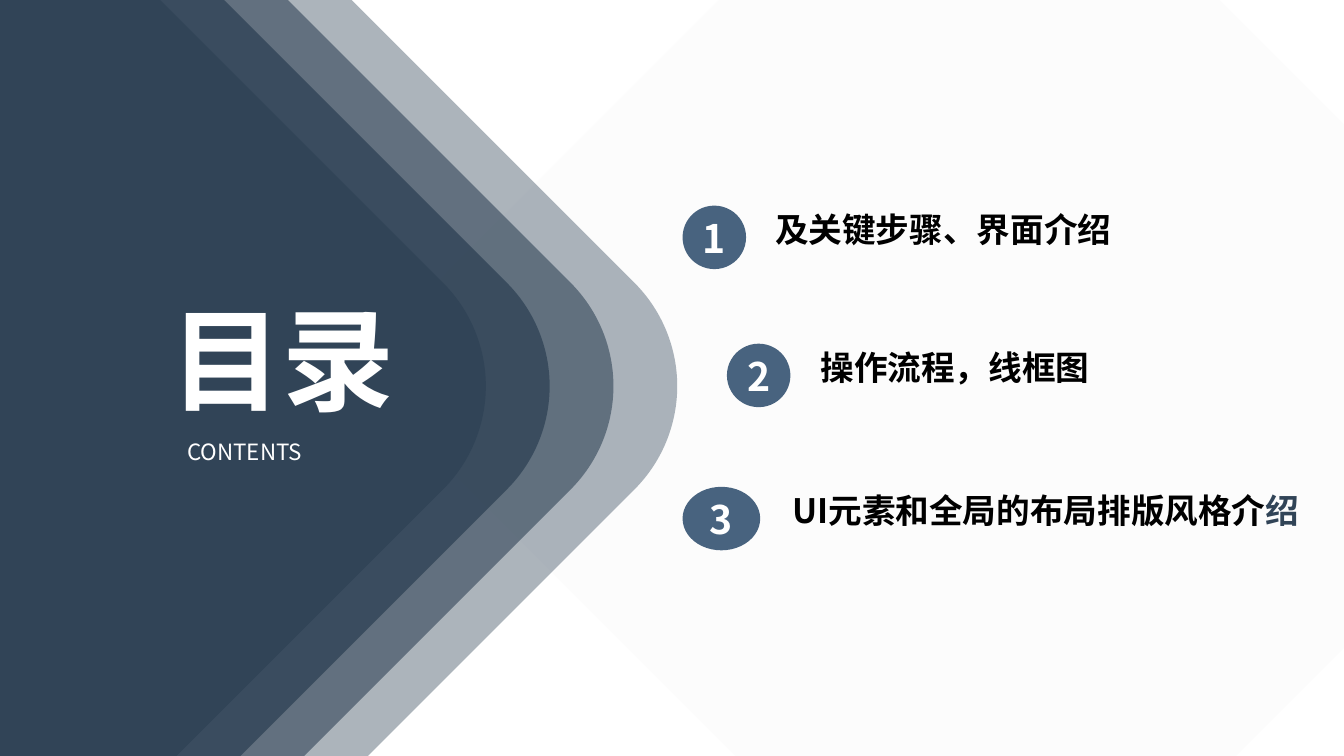
from lxml import etree
from pptx import Presentation
from pptx.dml.color import RGBColor
from pptx.enum.shapes import MSO_SHAPE
from pptx.enum.text import MSO_ANCHOR, MSO_AUTO_SIZE, PP_ALIGN
from pptx.oxml.ns import qn
from pptx.util import Inches, Pt

ROUND, OVAL = MSO_SHAPE.ROUNDED_RECTANGLE, MSO_SHAPE.OVAL
LEFT, CENTER, JUSTIFY = PP_ALIGN.LEFT, PP_ALIGN.CENTER, PP_ALIGN.JUSTIFY
MIDDLE = MSO_ANCHOR.MIDDLE
GROW = MSO_AUTO_SIZE.SHAPE_TO_FIT_TEXT
FACE = "Noto Sans CJK SC"
COLORS = {"navy": "314457", "steel": "48637F", "pale": "F2F2F2",
          "white": "FFFFFF", "black": "000000"}
TITLE = {"size": Pt(80), "bold": True}
LABEL = {"size": Pt(16), "bold": False}
DIGIT = {"size": Pt(28), "bold": True}
ITEM = {"size": Pt(24), "bold": True}


def set_all(target, values):
    """Set each named value on the target."""
    for name, value in values.items():
        setattr(target, name, value)


def add_run(para, text, style, color):
    """Add a styled run with the face for Latin and Chinese text."""
    run = para.add_run()
    run.text = text
    set_all(run.font, {"name": FACE, **style})
    run.font.color.rgb = RGBColor.from_string(COLORS[color])
    etree.SubElement(run.font._element, qn("a:ea"), typeface=FACE)
    return run


def add_form(slide, kind, box, color, alpha=100):
    """Add a flat filled shape with the given opacity in percent."""
    form = slide.shapes.add_shape(kind, *map(Inches, box))
    form.shadow.inherit = False
    form.fill.solid()
    form.fill.fore_color.rgb = RGBColor.from_string(COLORS[color])
    form.line.fill.background()
    if alpha < 100:
        tint = form._element.spPr.find(".//" + qn("a:srgbClr"))
        etree.SubElement(tint, qn("a:alpha"), val=str(alpha * 1000))
    return form


def add_tile(slide, left, color, alpha):
    """Add a large rounded diamond."""
    tile = add_form(slide, ROUND, (left, -0.6, 8.93, 8.7), color, alpha)
    tile.rotation = 45


def add_text(slide, box, text, style, color, align=LEFT, wrap=True):
    """Add a one-line text box and return its paragraph."""
    frame = slide.shapes.add_textbox(*map(Inches, box)).text_frame
    set_all(frame, {"word_wrap": wrap, "auto_size": GROW})
    para = frame.paragraphs[0]
    para.alignment = align
    add_run(para, text, style, color)
    return para


def add_badge(slide, left, top, width, text):
    """Add a numbered oval."""
    frame = add_form(slide, OVAL, (left, top, width, 0.63), "steel").text_frame
    set_all(frame, {"margin_left": 0, "margin_right": 0,
                    "vertical_anchor": MIDDLE})
    para = frame.paragraphs[0]
    para.alignment = CENTER
    add_run(para, text, DIGIT, "white")


def main():
    """Build the contents slide."""
    deck = Presentation()
    set_all(deck, {"slide_width": Inches(13.33), "slide_height": Inches(7.5)})
    slide = deck.slides.add_slide(deck.slide_layouts[6])

    add_tile(slide, 5.23, "pale", 20)
    for step, alpha in enumerate((40, 60, 80, 100)):
        add_tile(slide, -3.38 - 0.633 * step, "navy", alpha)

    add_text(slide, (1.5, 2.83, 2.6, 1.45), "目录", TITLE, "white", CENTER)
    add_text(slide, (1.76, 4.3, 2.08, 0.37), "CONTENTS", LABEL, "white", JUSTIFY)

    items = [
        (6.77, 2.04, 0.63, 7.59, 3.53, "及关键步骤、界面介绍", False),
        (7.21, 3.41, 0.63, 8.04, 2.87, "操作流程，线框图", False),
        (6.77, 4.83, 0.77, 7.76, 7.58, "UI元素和全局的布局排版风格介", True),
    ]
    for num, (left, top, size, start, width, text, wrap) in enumerate(items, 1):
        add_badge(slide, left, top, size, str(num))
        box = (start, top - 0.02, width, 0.5)
        para = add_text(slide, box, text, ITEM, "black", wrap=wrap)
    tail = add_run(para, "绍", ITEM, "navy")
    tail.font._element.set("spc", "600")

    deck.save("out.pptx")


if __name__ == "__main__":
    main()
